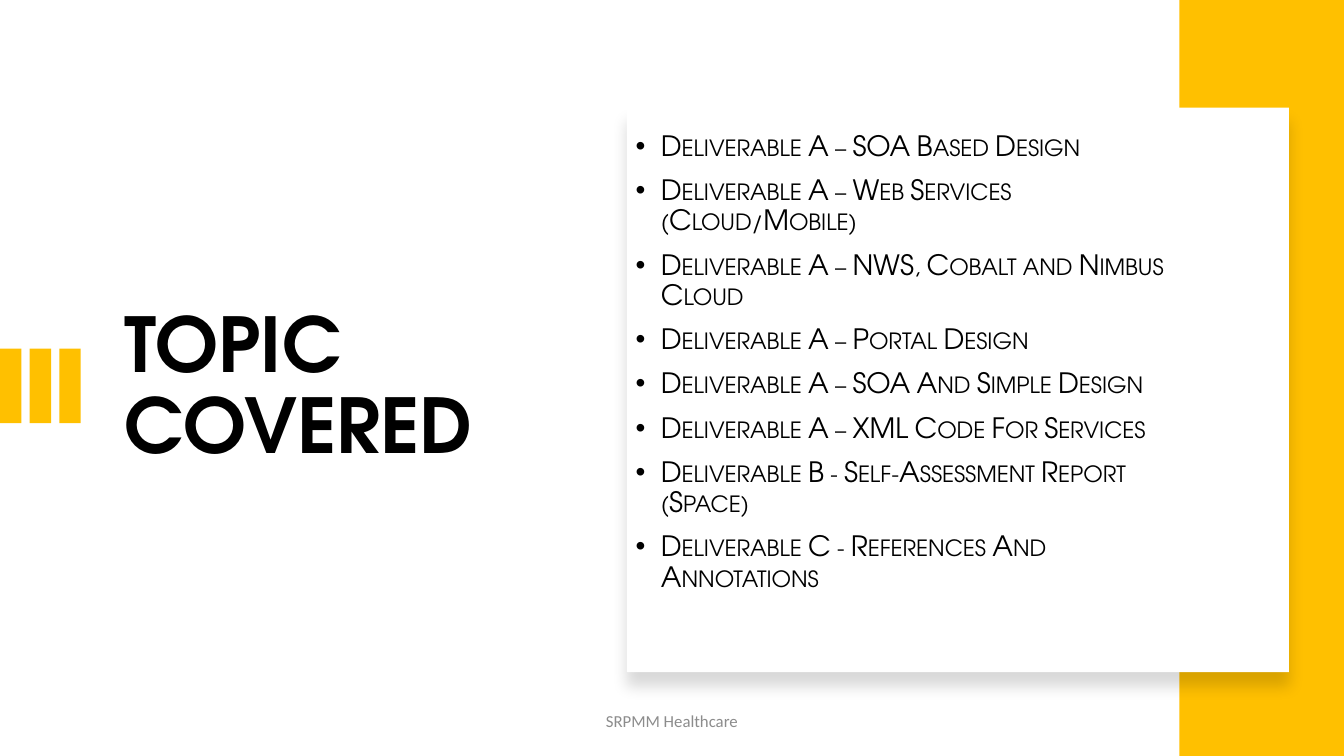
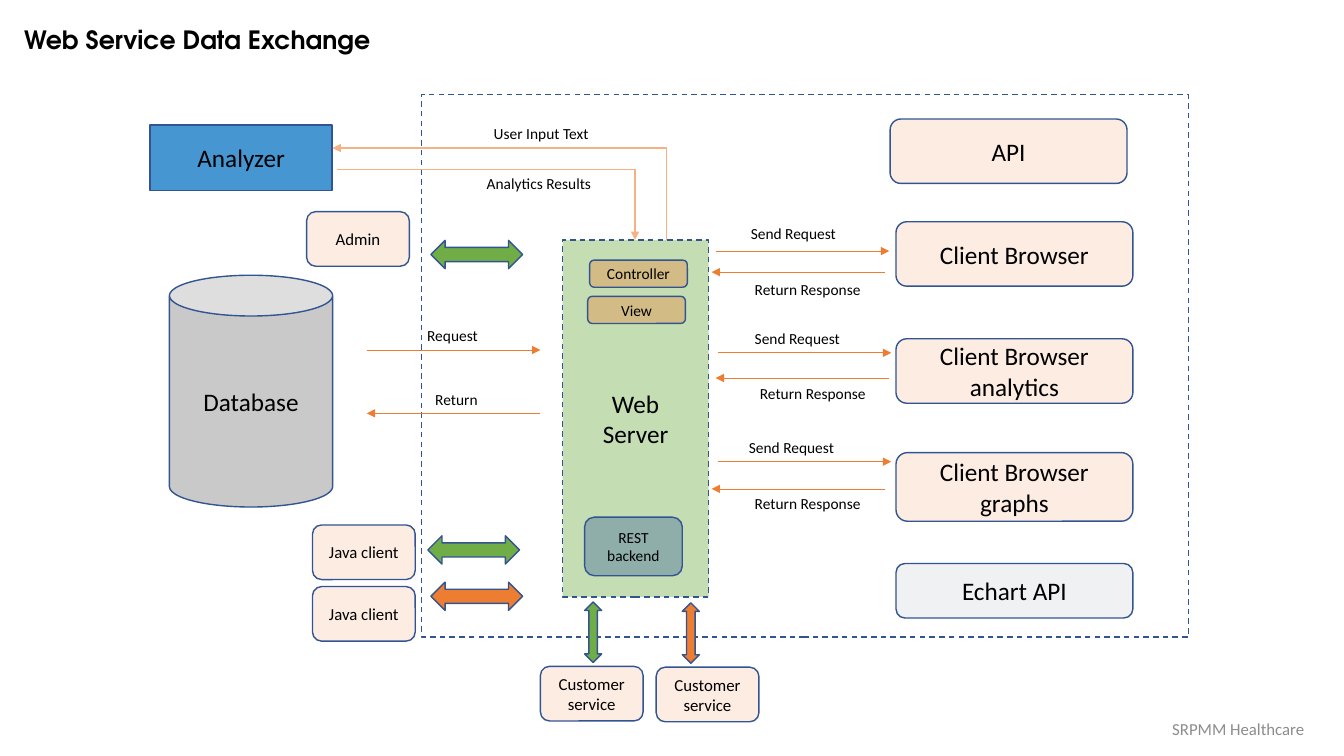
from pptx import Presentation
from pptx.dml.color import RGBColor
from pptx.enum.dml import MSO_LINE
from pptx.enum.shapes import MSO_CONNECTOR, MSO_SHAPE
from pptx.enum.text import MSO_ANCHOR, MSO_AUTO_SIZE, PP_ALIGN
from pptx.oxml.ns import qn
from pptx.oxml.xmlchemy import OxmlElement
from pptx.util import Pt

RECTANGLE = MSO_SHAPE.RECTANGLE
ROUNDED = MSO_SHAPE.ROUNDED_RECTANGLE
CYLINDER = MSO_SHAPE.CAN
HORIZONTAL_ARROW = MSO_SHAPE.LEFT_RIGHT_ARROW
VERTICAL_ARROW = MSO_SHAPE.UP_DOWN_ARROW
STRAIGHT = MSO_CONNECTOR.STRAIGHT
ELBOW = MSO_CONNECTOR.ELBOW
DASH = MSO_LINE.DASH
LEFT, CENTER = PP_ALIGN.LEFT, PP_ALIGN.CENTER
TOP, MIDDLE = MSO_ANCHOR.TOP, MSO_ANCHOR.MIDDLE
NO_FIT = MSO_AUTO_SIZE.NONE
TITLE_ONLY = 5

HEADING_FONT, BODY_FONT = "TeX Gyre Adventor", "Calibri"
BLACK, WHITE, GRAY = "000000", "FFFFFF", "8C8C8C"
YELLOW, NAVY = "FFC000", "325491"
GREEN, ORANGE, PEACH, LIGHT_ORANGE = "70AD47", "ED7D31", "F8CBAD", "F4B183"
FOOTER = "SRPMM Healthcare"


def color(value):
    return RGBColor.from_string(value)


def add_xml(parent, tag, **attributes):
    child = OxmlElement(tag)
    for name, value in attributes.items():
        child.set(name, str(value))
    parent.append(child)
    return child


class Deck:
    """Holds the shared style and the slide being built."""

    def __init__(self):
        self.presentation = Presentation()
        self.presentation.slide_width = Pt(960)
        self.presentation.slide_height = Pt(540)
        self.slide = None

    def add_slide(self, title, box, size, spacing=1.0):
        layout = self.presentation.slide_layouts[TITLE_ONLY]
        self.slide = self.presentation.slides.add_slide(layout)
        shape = self.slide.shapes.title
        shape.left, shape.top, shape.width, shape.height = map(Pt, box)
        self.set_text(shape, title, size, HEADING_FONT, align=LEFT, bold=True)
        for paragraph in shape.text_frame.paragraphs:
            paragraph.line_spacing = spacing

    def set_text(self, shape, text, size, font=BODY_FONT, ink=BLACK,
                 align=CENTER, anchor=MIDDLE, bold=False, wrap=True):
        frame = shape.text_frame
        frame.text = text
        frame.word_wrap = wrap
        frame.auto_size = NO_FIT
        frame.vertical_anchor = anchor
        for paragraph in frame.paragraphs:
            paragraph.alignment = align
            for run in paragraph.runs:
                run.font.name = font
                run.font.size = Pt(size)
                run.font.bold = bold
                run.font.color.rgb = color(ink)

    def text(self, text, box, size, **style):
        shape = self.slide.shapes.add_textbox(*map(Pt, box))
        self.set_text(shape, text, size, **style)
        return shape

    def label(self, text, left, top, width):
        self.text(text, (left, top, width, 21), 11,
                  align=LEFT, anchor=TOP, wrap=False)

    def footer(self, box):
        self.text(FOOTER, box, 12, ink=GRAY)

    def bullets(self, items, box, size):
        shape = self.text("\n".join(items), box, size,
                          font=HEADING_FONT, align=LEFT)
        for paragraph in shape.text_frame.paragraphs:
            paragraph.line_spacing = 0.9
            paragraph.space_before = Pt(10)
            properties = paragraph._p.get_or_add_pPr()
            properties.set("marL", str(Pt(18)))
            properties.set("indent", str(-Pt(18)))
            add_xml(properties, "a:buFont", typeface="Arial")
            add_xml(properties, "a:buChar", char="•")
            for run in paragraph.runs:
                run._r.get_or_add_rPr().set("cap", "small")

    def shape(self, kind, box, fill=None, opacity=100, line=None, dash=None,
              text="", size=18):
        shape = self.slide.shapes.add_shape(kind, *map(Pt, box))
        shape.shadow.inherit = False
        if fill:
            shape.fill.solid()
            shape.fill.fore_color.rgb = color(fill)
            if opacity < 100:
                fill_color = shape.element.spPr.find(".//" + qn("a:srgbClr"))
                add_xml(fill_color, "a:alpha", val=opacity * 1000)
        else:
            shape.fill.background()
        if line:
            shape.line.color.rgb = color(line)
            shape.line.width = Pt(1)
            if dash:
                shape.line.dash_style = dash
        else:
            shape.line.fill.background()
        if text:
            self.set_text(shape, text, size)
        return shape

    def card(self, text, box, fill=PEACH, opacity=35, size=18):
        self.shape(ROUNDED, box, fill, opacity, NAVY, text=text, size=size)

    def drop_shadow(self, shape):
        effects = shape.element.spPr.find(qn("a:effectLst"))
        shadow = add_xml(effects, "a:outerShdw", blurRad=Pt(11), dist=Pt(10),
                         dir=90 * 60000, algn="t", rotWithShape=0)
        shadow_color = add_xml(shadow, "a:srgbClr", val=BLACK)
        add_xml(shadow_color, "a:alpha", val=15000)

    def arrow(self, start, end, ink=ORANGE, width=0.5, kind=STRAIGHT,
              tip="a:tailEnd"):
        connector = self.slide.shapes.add_connector(
            kind, *map(Pt, (*start, *end)))
        connector.line.color.rgb = color(ink)
        connector.line.width = Pt(width)
        properties = connector.element.spPr
        add_xml(properties.find(qn("a:ln")), tip, type="triangle")
        add_xml(properties, "a:effectLst")
        if kind == ELBOW:
            # One corner: across, then down
            properties.find(qn("a:prstGeom")).set("prst", "bentConnector2")


def build_topics(deck):
    deck.add_slide("TOPIC COVERED", (82, 105, 307, 345), 54, spacing=0.9)

    # Yellow accents and white panel
    for index in range(3):
        deck.shape(RECTANGLE, (index * 21.2, 249, 15.3, 53.3), YELLOW)
    deck.shape(RECTANGLE, (842.4, 0, 117.6, 540), YELLOW)
    panel = deck.shape(RECTANGLE, (447.8, 77, 473, 403.2), WHITE)
    deck.drop_shadow(panel)

    # Topics
    deck.bullets([
        "Deliverable A – SOA Based Design",
        "Deliverable A – Web Services (Cloud/Mobile)",
        "Deliverable A – NWS, Cobalt and Nimbus Cloud",
        "Deliverable A – Portal Design",
        "Deliverable A – SOA And Simple Design",
        "Deliverable A – XML Code For Services",
        "Deliverable B - Self-Assessment Report (Space)",
        "Deliverable C - References And Annotations",
    ], (447, 80.6, 414, 357), 20)
    deck.footer((318, 500.5, 324, 29))


def build_data_exchange(deck):
    deck.add_slide("Web Service Data Exchange", (10, 13.7, 281, 29), 18)

    # System boundary and main parts
    deck.shape(RECTANGLE, (301, 67.7, 548, 387.4), line=NAVY, dash=DASH)
    deck.shape(RECTANGLE, (401.8, 171.4, 104.4, 255), GREEN, 41, NAVY, DASH,
               "Web\nServer")
    deck.shape(CYLINDER, (121, 196.6, 116.6, 165.6), "A5A5A5", 60, NAVY,
               text="Database")
    deck.shape(RECTANGLE, (107.3, 89.3, 130, 46.8), "0070C0", 73, NAVY,
               text="Analyzer")

    # Analyzer exchange
    deck.arrow((240.5, 121), (453.6, 171.4), LIGHT_ORANGE, 1, ELBOW)
    deck.arrow((237.6, 105.8), (476, 171.4), LIGHT_ORANGE, 1, ELBOW,
               "a:headEnd")
    deck.label("User Input Text", 345.6, 85, 83.5)
    deck.label("Analytics Results", 340.6, 121, 89.3)

    # Database exchange
    deck.arrow((262, 250), (386, 250))
    deck.arrow((386, 295.2), (262, 295.2))
    deck.label("Request", 298, 229.7, 51)
    deck.label("Return", 303.8, 275, 45.4)

    # Browsers and APIs
    for text, left, top, height in [
        ("API", 635.8, 85, 46),
        ("Client Browser", 640, 158.4, 46),
        ("Client Browser\nanalytics", 640, 242, 46),
        ("Client Browser\ngraphs", 640, 323.3, 49),
    ]:
        deck.card(text, (left, top, 169.2, height))
    deck.card("Echart API", (640, 402.5, 169.2, 39), "333F50", 7)

    # Browser exchanges: left and top of both arrows, then of both labels
    length = 124
    for send, reply, send_label, reply_label in [
        ((511.2, 179.3), (508.3, 194.4), (529.2, 156.2), (532, 196.6)),
        ((512.6, 252), (511.2, 270), (532, 231.8), (535.7, 270.7)),
        ((512.6, 329.8), (508.3, 349.2), (527.8, 309.6), (532, 349.2)),
    ]:
        deck.arrow(send, (send[0] + length, send[1]))
        deck.arrow((reply[0] + length, reply[1]), reply)
        deck.label("Send Request", *send_label, 76.3)
        deck.label("Return Response", *reply_label, 90.7)

    # Inside the web server
    for text, left, top, height, fill in [
        ("Controller", 421.2, 185.8, 19.4, ORANGE),
        ("View", 419.8, 211.7, 19.4, ORANGE),
        ("REST backend", 417.6, 369.4, 41.8, "2F5597"),
    ]:
        deck.card(text, (left, top, 69.8, height), fill, size=11)

    # Outer clients
    for text, left, top in [
        ("Admin", 219, 151.2),
        ("Java client", 223.2, 375),
        ("Java client", 223.2, 419),
        ("Customer\nservice", 386, 476),
        ("Customer\nservice", 468.7, 476.6),
    ]:
        deck.card(text, (left, top, 73.4, 39), size=12)

    # Block arrows to the outer clients
    for kind, box, fill in [
        (HORIZONTAL_ARROW, (307.8, 171.7, 65.5, 20.2), GREEN),
        (HORIZONTAL_ARROW, (305.6, 382.7, 65.5, 20.2), GREEN),
        (HORIZONTAL_ARROW, (307.8, 415.8, 65.5, 20.2), ORANGE),
        (VERTICAL_ARROW, (417.6, 430, 12.2, 43.2), GREEN),
        (VERTICAL_ARROW, (487.4, 430.6, 12.2, 43.2), ORANGE),
    ]:
        deck.shape(kind, box, fill, line=NAVY)
    deck.footer((809.3, 507, 150.5, 26.6))


def main():
    deck = Deck()
    build_topics(deck)
    build_data_exchange(deck)
    deck.presentation.save("out.pptx")


if __name__ == "__main__":
    main()
